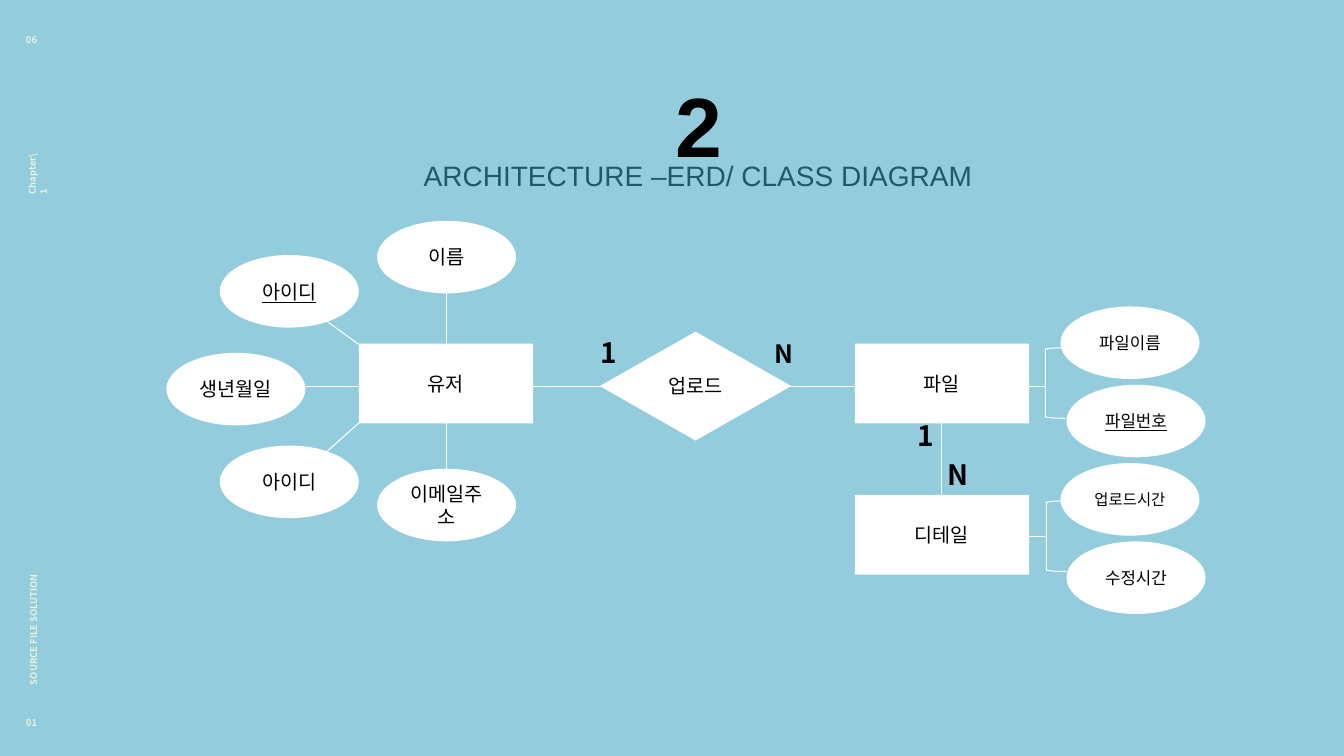
"""Build the entity-relationship diagram slide on a grid of tenth-inch cells."""
from dataclasses import dataclass
from typing import Optional

from lxml import etree
from pptx import Presentation, util as u
from pptx.dml import color as c
from pptx.enum import shapes, text
from pptx.oxml import ns

CELL = u.Inches(0.1)
COLS, ROWS = 133.33, 75
COLORS = {"sky": "93CDDD", "white": "FFFFFF", "black": "000000", "teal": "215968", "cream": "EBF1DE"}
LATIN, KOREAN = "Arial", "Noto Sans CJK KR"
SHAPE, ALIGN = shapes.MSO_SHAPE, text.PP_ALIGN
SIZES = {SHAPE.OVAL: (13.8, 7.2), SHAPE.RECTANGLE: (17.3, 7.9), SHAPE.DIAMOND: (19, 10.8)}


@dataclass
class Node:
    key: str
    label: str
    kind: shapes.MSO_SHAPE
    col: float
    row: float
    size: float = 14
    underline: bool = False


@dataclass
class Link:
    x1: float
    y1: float
    x2: float
    y2: float
    begin: Optional[tuple[str, int]] = None
    end: Optional[tuple[str, int]] = None


@dataclass
class Label:
    words: str
    col: float
    row: float
    width: float
    height: float
    size: float = 6.7
    color: str = "cream"
    font: str = KOREAN
    align: text.PP_ALIGN = ALIGN.LEFT
    rotation: float = 0
    spacing: int = 0
    tab: float = 0


FILE_FIELDS = [("filename", "파일이름", 12, False), ("fileno", "파일번호", 12, True),
               ("uploaded", "업로드시간", 11, False), ("modified", "수정시간", 12, False)]

NODES = [
    Node("name", "이름", SHAPE.OVAL, 37.4, 21.9),
    Node("email", "이메일주소", SHAPE.OVAL, 37.4, 46.5),
    Node("birth", "생년월일", SHAPE.OVAL, 16.5, 35),
    Node("id", "아이디", SHAPE.OVAL, 21.8, 25.3, underline=True),
    Node("id2", "아이디", SHAPE.OVAL, 21.8, 44.2),
    Node("user", "유저", SHAPE.RECTANGLE, 35.6, 34.1),
    Node("upload", "업로드", SHAPE.DIAMOND, 59.5, 32.9),
    Node("file", "파일", SHAPE.RECTANGLE, 84.8, 34.1),
    Node("detail", "디테일", SHAPE.RECTANGLE, 84.8, 49.1),
] + [Node(key, label, SHAPE.OVAL, 105.2 + 0.6 * (i % 2), 30.4 + 7.77 * i, size, line)
     for i, (key, label, size, line) in enumerate(FILE_FIELDS)]

LINKS = [
    Link(28.9, 38.3, 60, 38.3),
    Link(77.7, 38.3, 103.7, 38.3),
    Link(87.1, 53.2, 103.7, 53.2),
    Link(44.3, 27.4, 44.3, 46.5, end=("email", 0)),
    Link(93.4, 42, 93.4, 49.1, begin=("file", 2), end=("detail", 0)),
    Link(29.7, 29.9, 41.3, 38.3),
    Link(30.3, 46.7, 39.6, 38.4),
]

BRACKETS = [(103.7, 34.5), (103.8, 49.7)]


def mark(words: str, center: float, row: float, size: float = 20, height: float = 4.4,
         font: str = KOREAN) -> Label:
    return Label(words, center - 15.2, row, 30.4, height, size, "black", font, ALIGN.CENTER, spacing=400)


LABELS = [
    mark("2", 69.3, 6.8, 60, 11.1, LATIN),
    mark("1", 60.4, 32.8),
    mark("N", 77.8, 33.1, 18, 4),
    mark("N", 95, 44.9),
    mark("1", 91.8, 41),
    Label("Chapter\\\t1", -2.85, 13.15, 12.1, 2.1, rotation=270, tab=9.6),
    Label("06", 1.6, 2.9, 6.3, 2.1),
    Label("SOURCE FILE SOLUTION", -5.6, 59, 17.8, 2.1, rotation=270),
    Label("01", 1.6, 70.7, 6.3, 2.1),
]


def cells(*counts: float) -> list[int]:
    return [round(n * CELL) for n in counts]


def rgb(name: str) -> c.RGBColor:
    return c.RGBColor.from_string(COLORS[name])


def add_run(p, words: str, size: float, color: str, font: str = KOREAN, bold: bool = False,
            underline: bool = False, spacing: int = 0) -> None:
    r = p.add_run()
    r.text = words
    r.font.size, r.font.bold = u.Pt(size), bold
    r.font.color.rgb = rgb(color)
    r.font.name = font
    if underline:
        r.font.underline = True
    rPr = r._r.get_or_add_rPr()
    etree.SubElement(rPr, ns.qn("a:ea"), typeface=font)
    if spacing:
        rPr.set("spc", str(spacing))


def add_link(s, link: Link):
    line = s.shapes.add_connector(shapes.MSO_CONNECTOR.STRAIGHT, *cells(link.x1, link.y1, link.x2, link.y2))
    line.line.color.rgb = rgb("white")
    line.line.width = u.Pt(0.75)
    etree.SubElement(line._element.spPr, ns.qn("a:effectLst"))
    return line


def add_bracket(s, col: float, row: float) -> None:
    sp = s.shapes.add_shape(SHAPE.LEFT_BRACKET, *cells(col, row, 2, 7))
    sp.shadow.inherit = False
    sp.fill.background()
    sp.line.color.rgb = rgb("white")
    sp.line.width = u.Pt(0.75)


def add_node(s, node: Node):
    sp = s.shapes.add_shape(node.kind, *cells(node.col, node.row, *SIZES[node.kind]))
    sp.shadow.inherit = False
    sp.fill.solid()
    sp.fill.fore_color.rgb = rgb("white")
    sp.line.fill.background()
    tf = sp.text_frame
    tf.word_wrap, tf.vertical_anchor = True, text.MSO_ANCHOR.MIDDLE
    p = tf.paragraphs[0]
    p.alignment = ALIGN.CENTER
    add_run(p, node.label, node.size, "black", underline=node.underline)
    return sp


def add_label(s, label: Label) -> None:
    sp = s.shapes.add_textbox(*cells(label.col, label.row, label.width, label.height))
    sp.rotation = label.rotation
    tf = sp.text_frame
    tf.word_wrap, tf.auto_size = True, text.MSO_AUTO_SIZE.SHAPE_TO_FIT_TEXT
    p = tf.paragraphs[0]
    p.alignment = label.align
    if label.tab:
        tabs = etree.SubElement(p._p.get_or_add_pPr(), ns.qn("a:tabLst"))
        etree.SubElement(tabs, ns.qn("a:tab"), pos=str(cells(label.tab)[0]), algn="l")
    add_run(p, label.words, label.size, label.color, label.font, True, spacing=label.spacing)


def add_title(s, words: str) -> None:
    sp = s.shapes.title
    sp.left, sp.top, sp.width, sp.height = cells(5.2, 15.2, 128.1, 4.4)
    tf = sp.text_frame
    tf.word_wrap, tf.auto_size = True, text.MSO_AUTO_SIZE.NONE
    tf.vertical_anchor = text.MSO_ANCHOR.TOP
    p = tf.paragraphs[0]
    p.alignment = ALIGN.CENTER
    add_run(p, words, 20, "teal", LATIN)


def main() -> None:
    prs = Presentation()
    prs.slide_width, prs.slide_height = cells(COLS, ROWS)
    s = prs.slides.add_slide(prs.slide_layouts[5])
    s.background.fill.solid()
    s.background.fill.fore_color.rgb = rgb("sky")
    add_title(s, "ARCHITECTURE –ERD/ CLASS DIAGRAM")
    lines = [add_link(s, link) for link in LINKS]
    for col, row in BRACKETS:
        add_bracket(s, col, row)
    nodes = {node.key: add_node(s, node) for node in NODES}
    for line, link in zip(lines, LINKS):
        if link.begin:
            line.begin_connect(nodes[link.begin[0]], link.begin[1])
        if link.end:
            line.end_connect(nodes[link.end[0]], link.end[1])
    for label in LABELS:
        add_label(s, label)
    prs.save("out.pptx")


if __name__ == "__main__":
    main()
